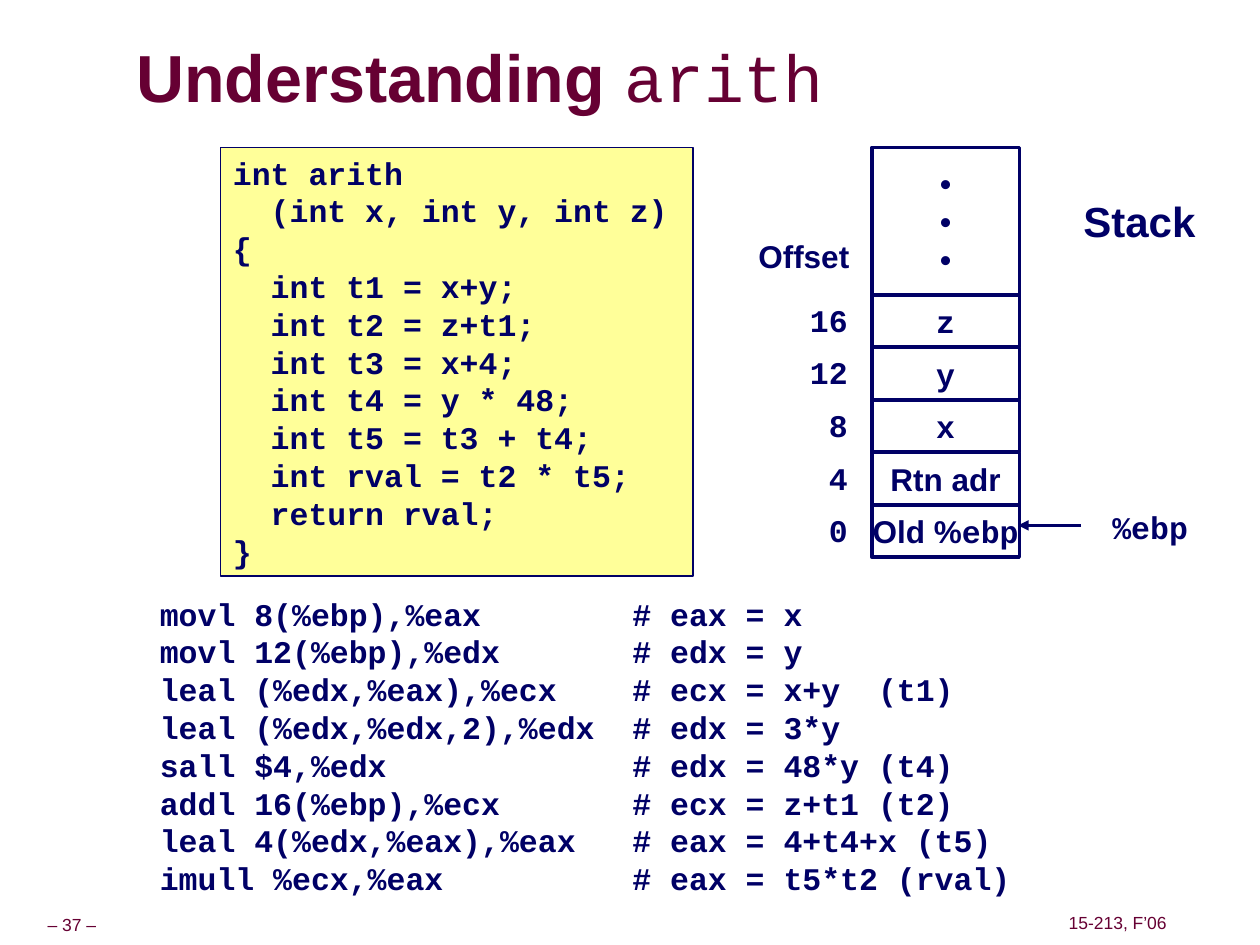
import pptx
import pptx.util
import pptx.dml.color
import pptx.enum.shapes
import pptx.enum.text
import pptx.oxml
import pptx.oxml.ns

Inches = pptx.util.Inches
Align = pptx.enum.text.PP_ALIGN
Anchor = pptx.enum.text.MSO_ANCHOR

COLORS = {"ink": "000066", "wine": "660033", "code": "FFFF99", "cell": "FFFFFF",
          "shade": "999999"}
SANS, MONO = "Arial", "Courier New"

TITLE = [("Understanding ", {}), ("arith", {"name": MONO, "bold": False})]
SOURCE = """int arith
  (int x, int y, int z)
{
  int t1 = x+y;
  int t2 = z+t1;
  int t3 = x+4;
  int t4 = y * 48;
  int t5 = t3 + t4;
  int rval = t2 * t5;
  return rval;
}""".split("\n")
ASM = [
    ("movl 8(%ebp),%eax", "# eax = x"),
    ("movl 12(%ebp),%edx", "# edx = y"),
    ("leal (%edx,%eax),%ecx", "# ecx = x+y  (t1)"),
    ("leal (%edx,%edx,2),%edx", "# edx = 3*y"),
    ("sall $4,%edx", "# edx = 48*y (t4)"),
    ("addl 16(%ebp),%ecx", "# ecx = z+t1 (t2)"),
    ("leal 4(%edx,%eax),%eax", "# eax = 4+t4+x (t5)"),
    ("imull %ecx,%eax", "# eax = t5*t2 (rval)"),
]
STACK = [  # offset, runs of the cell
    (16, [("z", {"name": MONO})]),
    (12, [("y", {"name": MONO})]),
    (8, [("x", {"name": MONO})]),
    (4, [("Rtn adr", {})]),
    (0, [("Old %", {}), ("ebp", {"name": MONO})]),
]
LABELS = [  # text, box, font
    ("Offset", (5.92, 1.83, 0.92, 0.4), {}),
    ("Stack", (8.5, 1.5, 1.09, 0.5), {"size": 24}),
    ("%ebp", (8.73, 3.98, 0.8, 0.4), {"name": MONO}),
]
FOOTER = [("– 37 –", (0.09, 7.22, 0.96, 0.25)),
          ("15-213, F’06", (8.43, 7.21, 0.88, 0.25))]

LEFT, TOP, WIDTH, HEAD = 6.92, 1.17, 1.17, 1.17
STEP = 5 / 12
BASE = {"name": SANS, "size": 18, "bold": True, "color": "ink"}


def rgb(key):
    return pptx.dml.color.RGBColor.from_string(COLORS[key])


def style(font, look):
    font.color.rgb = rgb(look["color"])
    font.size = pptx.util.Pt(look["size"])
    for key in ("name", "bold"):
        setattr(font, key, look[key])


def add_tabs(para, stops):
    props = para._p.get_or_add_pPr()
    tabs = pptx.oxml.parse_xml(f"<a:tabLst {pptx.oxml.ns.nsdecls('a')}/>")
    for stop in stops:
        tab = tabs.makeelement(pptx.oxml.ns.qn("a:tab"),
                               {"pos": str(Inches(stop)), "algn": "l"})
        tabs.append(tab)
    props.append(tabs)


def write(shape, lines, look=None, align=Align.LEFT, anchor=Anchor.TOP,
          wrap=False, pad=(0.1, 0.05), space=None, tabs=()):
    """Fill a shape; each line is a string or a list of (text, font changes)."""
    frame = shape.text_frame
    across, down = map(Inches, pad)
    form = {"word_wrap": wrap, "vertical_anchor": anchor,
            "margin_left": across, "margin_right": across,
            "margin_top": down, "margin_bottom": down}
    for key, value in form.items():
        setattr(frame, key, value)
    for i, line in enumerate(lines):
        para = frame.paragraphs[0] if i == 0 else frame.add_paragraph()
        para.alignment = align
        if space:
            para.line_spacing = space
        if tabs:
            add_tabs(para, tabs)
        for text, change in [(line, {})] if isinstance(line, str) else line:
            run = para.add_run()
            run.text = text
            style(run.font, {**BASE, **(look or {}), **change})


def add_text(slide, box, lines, **form):
    shape = slide.shapes.add_textbox(*map(Inches, box))
    write(shape, lines, **form)
    return shape


def add_rect(slide, box, fill, width, lines, **form):
    kind = pptx.enum.shapes.MSO_SHAPE.RECTANGLE
    shape = slide.shapes.add_shape(kind, *map(Inches, box))
    shape.shadow.inherit = False
    shape.fill.solid()
    shape.fill.fore_color.rgb = rgb(fill)
    shape.line.color.rgb = rgb("ink")
    shape.line.width = pptx.util.Pt(width)
    write(shape, lines, **form)


def add_shade(shape):
    """Give each run of the text a drop shadow."""
    for run in shape.text_frame.paragraphs[0].runs:
        effect = pptx.oxml.parse_xml(
            f"<a:effectLst {pptx.oxml.ns.nsdecls('a')}>"
            '<a:outerShdw dist="35921" dir="2700000">'
            f'<a:srgbClr val="{COLORS["shade"]}"/></a:outerShdw></a:effectLst>')
        fill = run._r.get_or_add_rPr().find(pptx.oxml.ns.qn("a:solidFill"))
        fill.addnext(effect)


def add_arrow(slide, start, end):
    kind = pptx.enum.shapes.MSO_CONNECTOR.STRAIGHT
    arrow = slide.shapes.add_connector(kind, *map(Inches, start + end))
    arrow.line.color.rgb = rgb("ink")
    arrow.line.width = pptx.util.Pt(2)
    ns = pptx.oxml.ns.nsdecls("a")
    arrow.line._get_or_add_ln().append(
        pptx.oxml.parse_xml(f'<a:tailEnd {ns} type="triangle"/>'))
    arrow._element.spPr.append(pptx.oxml.parse_xml(f"<a:effectLst {ns}/>"))


def add_stack(slide):
    form = {"align": Align.CENTER, "anchor": Anchor.MIDDLE}
    add_rect(slide, (LEFT, TOP, WIDTH, HEAD), "cell", 2, ["•"] * 3, **form)
    for i, (offset, runs) in enumerate(STACK):
        y = TOP + HEAD + i * STEP
        add_rect(slide, (LEFT, y, WIDTH, STEP), "cell", 2, [runs], **form)
        add_text(slide, (6.33, y, 0.65, 0.4), [f"{offset:2}"], look={"name": MONO})
    for text, box, look in LABELS:
        add_text(slide, box, [text], look=look)
    add_arrow(slide, (8.58, 4.17), (8.08, 4.17))


def main():
    deck = pptx.Presentation()
    deck.slide_width, deck.slide_height = Inches(10), Inches(7.5)
    slide = deck.slides.add_slide(deck.slide_layouts[6])
    for text, box in FOOTER:
        add_text(slide, box, [text], align=Align.CENTER, anchor=Anchor.MIDDLE,
                 look={"size": 10, "bold": False, "color": "wine"},
                 pad=(0.05, 0.05), space=0.9)
    title = add_text(slide, (1.08, 0.33, 6.57, 0.63), [TITLE], wrap=True,
                     look={"size": 38, "color": "wine"}, anchor=Anchor.MIDDLE,
                     pad=(0, 0), space=0.87)
    add_shade(title)
    add_rect(slide, (1.75, 1.17, 3.75, 3.4), "code", 1, SOURCE,
             look={"name": MONO}, wrap=True)
    add_text(slide, (0.92, 4.67, 7.42, 2.5), [f"\t{op}\t{note}" for op, note in ASM],
             look={"name": MONO}, wrap=True, tabs=(0.25, 4))
    add_stack(slide)
    deck.save("out.pptx")


if __name__ == "__main__":
    main()
